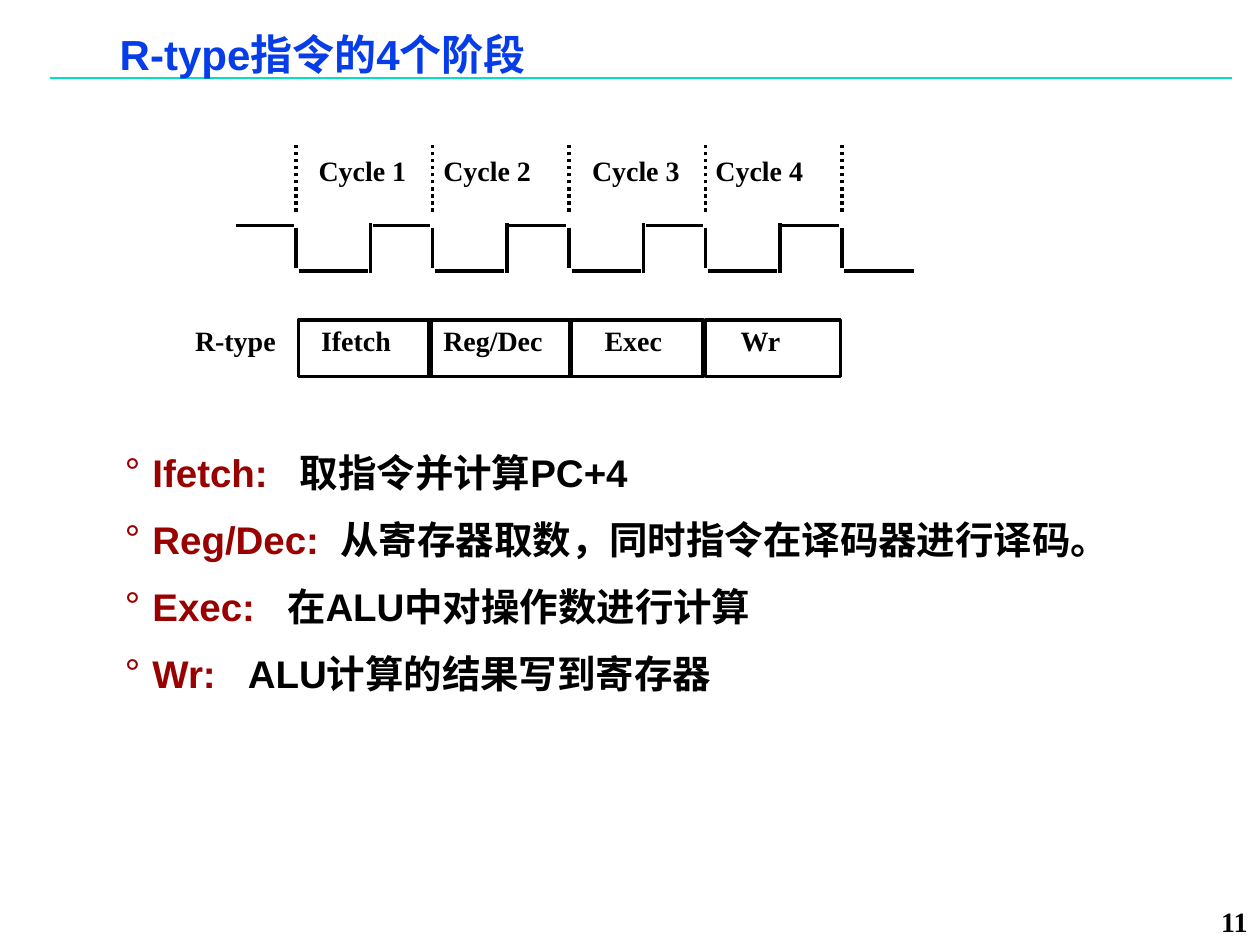
from lxml import etree
from pptx import Presentation, util as u
from pptx.dml.color import RGBColor
from pptx.enum import dml, shapes, text
from pptx.oxml import ns

BLACK = RGBColor(0x00, 0x00, 0x00)
BLUE = RGBColor(0x06, 0x3D, 0xE8)
RED = RGBColor(0x99, 0x00, 0x00)
TEAL = RGBColor(0x00, 0xDF, 0xCA)
SERIF, SANS = "Times New Roman", "Arial"

# Clock grid: one column per cycle, high and low signal rows
LEFT, CYCLE, CYCLES = 2.35, 1.083, 4
HIGH, LOW = 1.79, 2.15
RISE, GAP = 0.59, 0.02

prs = Presentation()
prs.slide_width, prs.slide_height = u.Inches(10), u.Inches(7.5)
s = prs.slides.add_slide(prs.slide_layouts[5])


def line(x1, y1, x2, y2, color=BLACK, width=2, dash=None):
    c = s.shapes.add_connector(shapes.MSO_CONNECTOR.STRAIGHT,
                               *(u.Inches(v) for v in (x1, y1, x2, y2)))
    c.line.color.rgb, c.line.width = color, u.Pt(width)
    if dash:
        c.line.dash_style = dash
    etree.SubElement(c._element.spPr, ns.qn("a:effectLst"))


def label(words, x, y, w, h, align=text.PP_ALIGN.LEFT, wrap=False):
    tf = s.shapes.add_textbox(*(u.Inches(v) for v in (x, y, w, h))).text_frame
    tf.word_wrap = wrap
    p = tf.paragraphs[0]
    p.alignment = align
    r = p.add_run()
    r.text = words
    for key, value in {"name": SERIF, "size": u.Pt(16), "bold": True}.items():
        setattr(r.font, key, value)
    r.font.color.rgb = BLACK


inset = {"margin_left": u.Inches(0.07), "margin_right": u.Inches(0.07),
         "margin_top": u.Inches(0.03), "margin_bottom": u.Inches(0.03),
         "word_wrap": True, "auto_size": text.MSO_AUTO_SIZE.NONE,
         "vertical_anchor": text.MSO_ANCHOR.TOP}

# Title, rule below it and page number
line(0.4, 0.62, 9.78, 0.62, TEAL, 1)
label("11", 8.83, 7.13, 1.17, 0.37, text.PP_ALIGN.RIGHT, True)
title = s.shapes.title
# The rule runs behind the title text
s.shapes._spTree.append(title._element)
for key, value in {"left": 0.88, "top": 0.25, "width": 5.85, "height": 0.4}.items():
    setattr(title, key, u.Inches(value))
tf = title.text_frame
tf.text = "R-type指令的4个阶段"
for key, value in inset.items():
    setattr(tf, key, value)
p = tf.paragraphs[0]
p.alignment, p.line_spacing = text.PP_ALIGN.LEFT, 0.87
for key, value in {"name": SANS, "size": u.Pt(24), "bold": True}.items():
    setattr(p.runs[0].font, key, value)
p.runs[0].font.color.rgb = BLUE

# Stage descriptions: term, width of the gap in spaces, explanation
stages = [("Ifetch:", 3, "取指令并计算PC+4"),
          ("Reg/Dec:", 2, "从寄存器取数，同时指令在译码器进行译码。"),
          ("Exec:", 3, "在ALU中对操作数进行计算"),
          ("Wr:", 3, "ALU计算的结果写到寄存器")]
tf = s.shapes.add_textbox(u.Inches(0.92), u.Inches(3.46),
                          u.Inches(8.25), u.Inches(2.61)).text_frame
for key, value in inset.items():
    setattr(tf, key, value)
for i, (term, spaces, meaning) in enumerate(stages):
    p = tf.paragraphs[0] if i == 0 else tf.add_paragraph()
    p.line_spacing = 1.2
    pPr = p._p.get_or_add_pPr()
    pPr.set("marL", str(u.Inches(0.22)))
    pPr.set("indent", str(-u.Inches(0.22)))
    before = etree.SubElement(pPr, ns.qn("a:spcBef"))
    etree.SubElement(before, ns.qn("a:spcPct"), val="30000")
    etree.SubElement(pPr, ns.qn("a:buFont"), typeface=SANS)
    etree.SubElement(pPr, ns.qn("a:buChar"), char="°")
    for words, color in ((term, RED), (" ", RED), (meaning, BLACK)):
        r = p.add_run()
        r.text = words
        for key, value in {"name": SANS, "size": u.Pt(22), "bold": True}.items():
            setattr(r.font, key, value)
        r.font.color.rgb = color
        if words == " ":  # letter spacing widens the single space
            r._r.get_or_add_rPr().set("spc", str(611 * (spaces - 1)))

# Clock signal with dotted cycle boundaries
for i in range(CYCLES + 1):
    x = LEFT + i * CYCLE
    line(x - CYCLE + RISE + GAP, HIGH, x - GAP, HIGH)
    line(x, HIGH + GAP, x, LOW - GAP)
    line(x + GAP, LOW, x + RISE - GAP, LOW)
    line(x, 1.68, x, 1.15, dash=dml.MSO_LINE.ROUND_DOT)
    if i < CYCLES:
        line(x + RISE, LOW + GAP, x + RISE, HIGH - GAP)

# Cycle names
for i, x in enumerate((2.43, 3.42, 4.6, 5.58), 1):
    label(f"Cycle {i}", x, 1.17, 0.95, 0.37)

# Pipeline stages: box left and width, label left and width
for name, x, w, tx, tw in (("Ifetch", 2.37, 1.05, 2.45, 0.85),
                           ("Reg/Dec", 3.4, 1.12, 3.42, 1.05),
                           ("Exec", 4.53, 1.05, 4.7, 0.75),
                           ("Wr", 5.6, 1.07, 5.78, 0.6)):
    sp = s.shapes.add_shape(shapes.MSO_SHAPE.RECTANGLE, u.Inches(x),
                            u.Inches(2.54), u.Inches(w), u.Inches(0.45))
    sp.shadow.inherit = False
    sp.fill.background()
    sp.line.color.rgb, sp.line.width = BLACK, u.Pt(2)
    label(name, tx, 2.52, tw, 0.36)
label("R-type", 1.45, 2.52, 0.9, 0.36)

prs.save("out.pptx")
